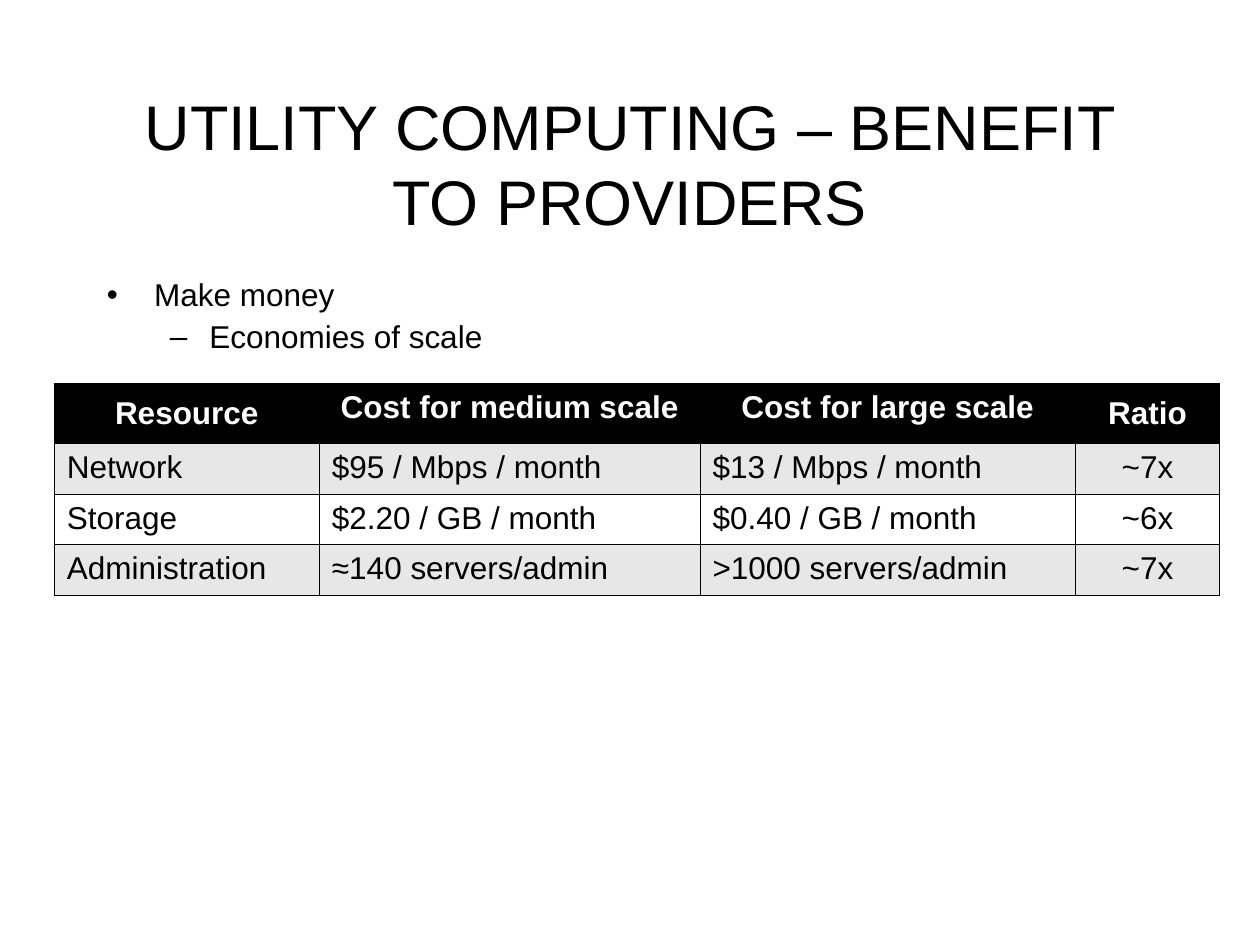
from typing import NamedTuple

from lxml.etree import SubElement
from pptx import Presentation
from pptx.dml.color import RGBColor
from pptx.enum.text import MSO_ANCHOR as Anchor, PP_ALIGN as Align
from pptx.oxml.ns import qn
from pptx.util import Pt

BLACK = RGBColor(0x00, 0x00, 0x00)
WHITE = RGBColor(0xFF, 0xFF, 0xFF)
BAND = RGBColor(0xE7, 0xE7, 0xE7)
TITLE_ONLY = 5

TITLE_FONT = {"name": "Arial", "size": Pt(36), "bold": False}
BODY_FONT = {"name": "Arial", "size": Pt(18), "bold": False}
HEADER_FONT = BODY_FONT | {"bold": True}


class Bullet(NamedTuple):
    text: str
    level: int
    mark: str
    margin: float
    hanging: float
    space_before: float


class Column(NamedTuple):
    header: str
    width: float
    align: Align
    header_anchor: Anchor
    values: tuple[str, ...]


BULLETS = (
    Bullet("Make money", 0, "•", 27, 27, 0),
    Bullet("Economies of scale", 1, "–", 58.5, 22.5, 4.5),
)
COLUMNS = (
    Column("Resource", 151.5, Align.LEFT, Anchor.MIDDLE,
           ("Network", "Storage", "Administration")),
    Column("Cost for medium scale", 217.5, Align.LEFT, Anchor.TOP,
           ("$95 / Mbps / month", "$2.20 / GB / month", "≈140 servers/admin")),
    Column("Cost for large scale", 214.5, Align.LEFT, Anchor.TOP,
           ("$13 / Mbps / month", "$0.40 / GB / month", ">1000 servers/admin")),
    Column("Ratio", 82.5, Align.CENTER, Anchor.MIDDLE, ("~7x", "~6x", "~7x")),
)
ROW_HEIGHTS = (34.5, 28.9, 28.9, 28.9)


def format_font(font, values: dict, color: RGBColor) -> None:
    for name, value in values.items():
        setattr(font, name, value)
    font.color.rgb = color


def place(shape, left: float, top: float, width: float, height: float) -> None:
    shape.left, shape.top = Pt(left), Pt(top)
    shape.width, shape.height = Pt(width), Pt(height)


def add_title(slide, text: str) -> None:
    title = slide.shapes.title
    place(title, 54, 48, 612, 90)
    frame = title.text_frame
    frame.text = text
    frame.vertical_anchor = Anchor.MIDDLE
    paragraph = frame.paragraphs[0]
    paragraph.alignment = Align.CENTER
    format_font(paragraph.font, TITLE_FONT, BLACK)


def add_bullets(slide, bullets: tuple[Bullet, ...]) -> None:
    box = slide.shapes.add_textbox(Pt(54), Pt(156), Pt(651.5), Pt(324))
    frame = box.text_frame
    frame.word_wrap = True
    for index, bullet in enumerate(bullets):
        paragraph = frame.add_paragraph() if index else frame.paragraphs[0]
        paragraph.text = bullet.text
        paragraph.level = bullet.level
        paragraph.line_spacing = 0.9
        paragraph.space_before = Pt(bullet.space_before)
        properties = paragraph._p.get_or_add_pPr()
        properties.set("marL", str(Pt(bullet.margin)))
        properties.set("indent", str(-Pt(bullet.hanging)))
        SubElement(properties, qn("a:buFont"), typeface="Arial")
        SubElement(properties, qn("a:buChar"), char=bullet.mark)
        format_font(paragraph.font, BODY_FONT, BLACK)


def add_borders(cell, color: RGBColor, width: float) -> None:
    properties = cell._tc.get_or_add_tcPr()
    for side in ("lnL", "lnR", "lnT", "lnB"):
        line = SubElement(properties, qn(f"a:{side}"), w=str(Pt(width)))
        fill = SubElement(line, qn("a:solidFill"))
        SubElement(fill, qn("a:srgbClr"), val=str(color))


def fill_cell(cell, text: str, align: Align, anchor: Anchor,
              font: dict, color: RGBColor, background: RGBColor) -> None:
    add_borders(cell, BLACK, 0.45)
    cell.fill.solid()
    cell.fill.fore_color.rgb = background
    cell.vertical_anchor = anchor
    cell.text = text
    paragraph = cell.text_frame.paragraphs[0]
    paragraph.alignment = align
    format_font(paragraph.font, font, color)


def add_cost_table(slide, columns: tuple[Column, ...]) -> None:
    width = sum(column.width for column in columns)
    table = slide.shapes.add_table(
        len(ROW_HEIGHTS), len(columns),
        Pt(31), Pt(219), Pt(width), Pt(sum(ROW_HEIGHTS))).table
    for row, height in zip(table.rows, ROW_HEIGHTS):
        row.height = Pt(height)
    for index, column in enumerate(columns):
        table.columns[index].width = Pt(column.width)
        fill_cell(table.cell(0, index), column.header, Align.CENTER,
                  column.header_anchor, HEADER_FONT, WHITE, BLACK)
        for row, value in enumerate(column.values, start=1):
            fill_cell(table.cell(row, index), value, column.align, Anchor.TOP,
                      BODY_FONT, BLACK, BAND if row % 2 else WHITE)


def main() -> None:
    presentation = Presentation()
    presentation.slide_width, presentation.slide_height = Pt(720), Pt(540)
    slide = presentation.slides.add_slide(presentation.slide_layouts[TITLE_ONLY])
    add_title(slide, "UTILITY COMPUTING – BENEFIT TO PROVIDERS")
    add_bullets(slide, BULLETS)
    add_cost_table(slide, COLUMNS)
    presentation.save("out.pptx")


if __name__ == "__main__":
    main()
